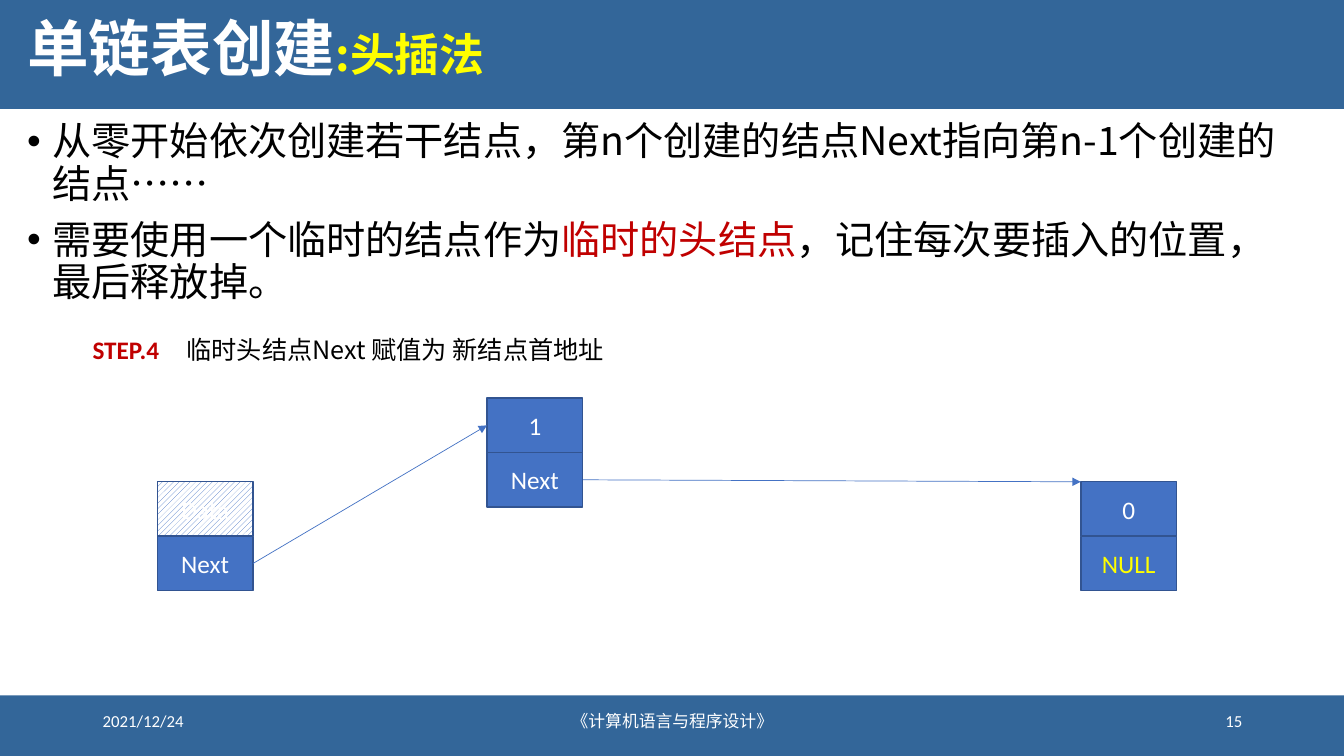
from lxml.etree import SubElement
from pptx import Presentation
from pptx.dml.color import RGBColor
from pptx.enum.dml import MSO_PATTERN
from pptx.enum.shapes import MSO_CONNECTOR, MSO_SHAPE
from pptx.enum.text import MSO_ANCHOR, MSO_AUTO_SIZE, PP_ALIGN
from pptx.oxml.ns import qn
from pptx.util import Inches, Pt

CHINESE_FONT = "Noto Sans CJK SC"
LATIN_FONT = "Calibri"
WHITE, BLACK, YELLOW, RED = "FFFFFF", "000000", "FFFF00", "C00000"
BAND_BLUE, NODE_BLUE, NODE_EDGE = "336699", "4472C4", "325491"


def rgb(colour):
    return RGBColor.from_string(colour)


def style_font(font, name, size, colour, bold=False):
    font.name, font.size, font.bold = name, Pt(size), bold
    font.color.rgb = rgb(colour)
    SubElement(font._element, qn("a:ea"), typeface=CHINESE_FONT)


deck = Presentation()
deck.slide_width, deck.slide_height = Inches(13.33), Inches(7.5)
page = deck.slides.add_slide(deck.slide_layouts[1])
title, body = page.shapes.title, page.placeholders[1]

# Header and footer bands, behind the placeholders
for top, height in ((0, 1.08), (6.9, 0.6)):
    band = page.shapes.add_shape(
        MSO_SHAPE.RECTANGLE, 0, Inches(top), deck.slide_width, Inches(height))
    band.shadow.inherit = False
    band.fill.solid()
    band.fill.fore_color.rgb = rgb(BAND_BLUE)
    band.line.fill.background()
    title.element.addprevious(band.element)

# Title
title.left, title.top, title.width, title.height = map(Inches, (0.17, 0, 12.87, 1.03))
title.text_frame.auto_size = MSO_AUTO_SIZE.NONE
title.text_frame.vertical_anchor = MSO_ANCHOR.MIDDLE
para = title.text_frame.paragraphs[0]
para.alignment, para.line_spacing = PP_ALIGN.LEFT, 0.9
for text, size, colour in (("单链表创建", 44, WHITE), (":头插法", 32, YELLOW)):
    span = para.add_run()
    span.text = text
    style_font(span.font, CHINESE_FONT, size, colour, bold=True)

# Bullet list
body.left, body.top, body.width, body.height = map(Inches, (0.17, 1.16, 12.87, 1.98))
body.text_frame.auto_size = MSO_AUTO_SIZE.NONE
bullets = (
    (("从零开始依次创建若干结点，第n个创建的结点Next指向第n-1个创建的结点……", BLACK),),
    (("需要使用一个临时的结点作为", BLACK), ("临时的头结点", RED),
     ("，记住每次要插入的位置，最后释放掉。", BLACK)),
)
for index, spans in enumerate(bullets):
    para = body.text_frame.paragraphs[0] if index == 0 else body.text_frame.add_paragraph()
    para.line_spacing, para.space_before = 0.9, Pt(10)
    style_font(para.font, CHINESE_FONT, 28, BLACK)
    properties = para._p.get_or_add_pPr()
    properties.set("marL", str(Inches(0.25)))
    properties.set("indent", str(Inches(-0.25)))
    for text, colour in spans:
        span = para.add_run()
        span.text = text
        if colour != BLACK:
            span.font.color.rgb = rgb(colour)

# Footer texts and step caption
labels = (
    ("2021/12/24", 0.92, 6.95, 3, PP_ALIGN.LEFT, LATIN_FONT, 12, WHITE, False),
    ("《计算机语言与程序设计》", 4.42, 6.95, 4.5, PP_ALIGN.CENTER, LATIN_FONT, 12, WHITE, False),
    ("15", 9.42, 6.95, 3, PP_ALIGN.RIGHT, LATIN_FONT, 12, WHITE, False),
    ("STEP.4", 0.82, 3.27, 0.87, PP_ALIGN.LEFT, LATIN_FONT, 18, RED, True),
    ("临时头结点Next 赋值为 新结点首地址", 1.69, 3.27, 4.46, PP_ALIGN.CENTER,
     CHINESE_FONT, 18, BLACK, False),
)
for text, left, top, width, alignment, name, size, colour, bold in labels:
    box = page.shapes.add_textbox(Inches(left), Inches(top), Inches(width), Inches(0.4))
    box.text_frame.word_wrap = size == 12
    box.text_frame.vertical_anchor = MSO_ANCHOR.MIDDLE
    para = box.text_frame.paragraphs[0]
    para.text, para.alignment = text, alignment
    style_font(para.font, name, size, colour, bold)

# List nodes: a data cell above a pointer cell
CELL_WIDTH, CELL_HEIGHT = 0.95, 0.54
nodes = (
    (1.56, 4.78, "Data", "Next"),
    (4.83, 3.95, "1", "Next"),
    (10.72, 4.78, "0", "NULL"),
)
cells = []
for left, top, *texts in nodes:
    for row, text in enumerate(texts):
        cell = page.shapes.add_shape(
            MSO_SHAPE.RECTANGLE, Inches(left), Inches(top + row * CELL_HEIGHT),
            Inches(CELL_WIDTH), Inches(CELL_HEIGHT))
        cell.shadow.inherit = False
        if text == "Data":
            cell.fill.patterned()
            cell.fill.pattern = MSO_PATTERN.WIDE_UPWARD_DIAGONAL
            cell.fill.back_color.rgb = rgb(WHITE)
        else:
            cell.fill.solid()
        cell.fill.fore_color.rgb = rgb(NODE_BLUE)
        cell.line.color.rgb, cell.line.width = rgb(NODE_EDGE), Pt(1)
        cell.text_frame.vertical_anchor = MSO_ANCHOR.MIDDLE
        para = cell.text_frame.paragraphs[0]
        para.text, para.alignment = text, PP_ALIGN.CENTER
        style_font(para.font, LATIN_FONT, 18, YELLOW if text == "NULL" else WHITE)
        cells.append(cell)
head_data, head_next, new_data, new_next, last_data, last_next = cells

# Pointers from each Next cell to the following node
for source, target, target_y in (
    (head_next, new_data, new_data.top + new_data.height // 2),
    (new_next, last_data, last_data.top),
):
    pointer = page.shapes.add_connector(
        MSO_CONNECTOR.STRAIGHT, source.left + source.width,
        source.top + source.height // 2, target.left, target_y)
    pointer.line.color.rgb, pointer.line.width = rgb(NODE_BLUE), Pt(0.5)
    SubElement(pointer.line._get_or_add_ln(), qn("a:tailEnd"), type="triangle")
    SubElement(pointer.element.spPr, qn("a:effectLst"))

deck.save("out.pptx")
